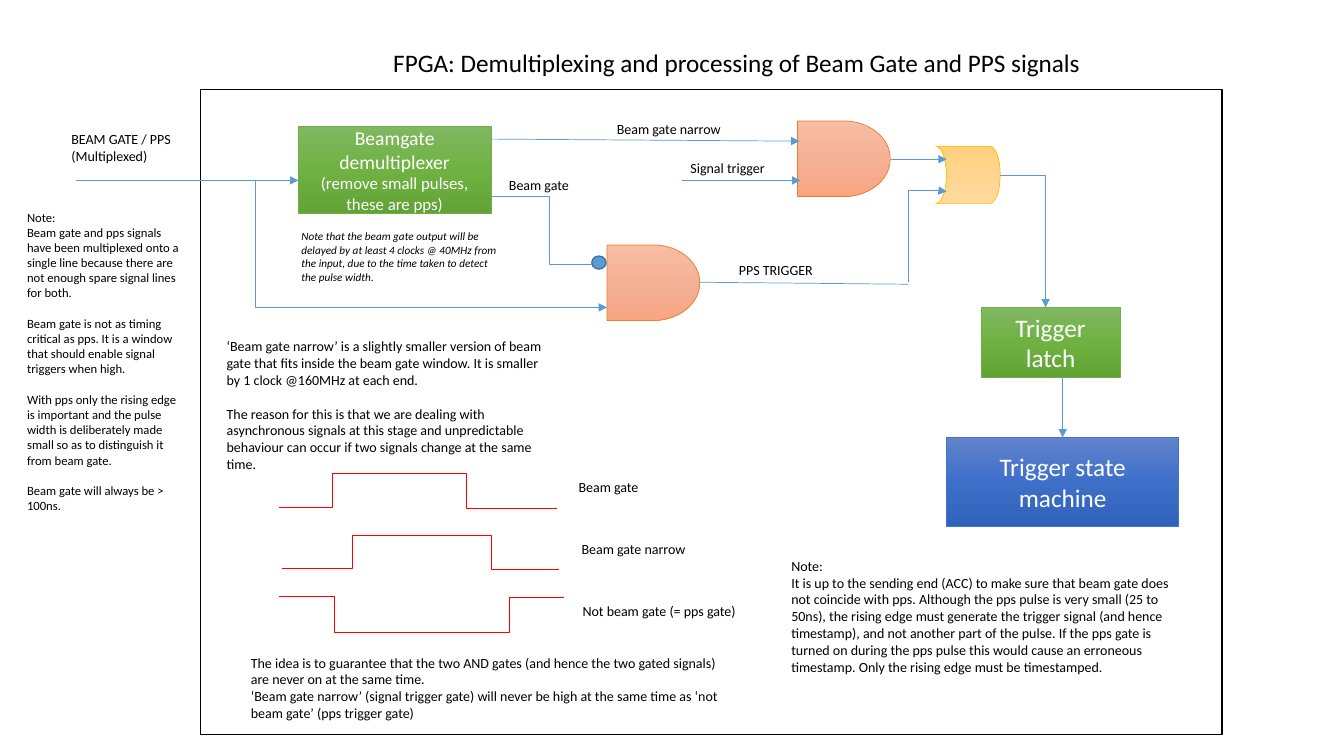
from copy import deepcopy
from dataclasses import dataclass

from pptx import Presentation
from pptx.dml.color import RGBColor
from pptx.enum.shapes import MSO_CONNECTOR, MSO_SHAPE
from pptx.enum.text import MSO_ANCHOR, MSO_AUTO_SIZE, PP_ALIGN
from pptx.oxml.ns import qn
from pptx.slide import Slide
from pptx.text.text import TextFrame
from pptx.util import Inches, Pt

RECT, OVAL = MSO_SHAPE.RECTANGLE, MSO_SHAPE.OVAL
AND, OR = MSO_SHAPE.FLOWCHART_DELAY, MSO_SHAPE.FLOWCHART_STORED_DATA
STRAIGHT, ELBOW = MSO_CONNECTOR.STRAIGHT, MSO_CONNECTOR.ELBOW
LEFT, CENTER = PP_ALIGN.LEFT, PP_ALIGN.CENTER
TOP, MIDDLE = MSO_ANCHOR.TOP, MSO_ANCHOR.MIDDLE
FIT, FIXED = MSO_AUTO_SIZE.SHAPE_TO_FIT_TEXT, MSO_AUTO_SIZE.NONE

FONT = "Calibri"
BLACK = RGBColor(0x00, 0x00, 0x00)
WHITE = RGBColor(0xFF, 0xFF, 0xFF)
RED = RGBColor(0xFF, 0x00, 0x00)
BLUE = RGBColor(0x5B, 0x9B, 0xD5)
NAVY = RGBColor(0x43, 0x73, 0x9E)
GREEN_EDGE = RGBColor(0x70, 0xAD, 0x47)
ROYAL_EDGE = RGBColor(0x44, 0x72, 0xC4)
PEACH_EDGE = RGBColor(0xED, 0x7D, 0x31)
GOLD_EDGE = RGBColor(0xFF, 0xC0, 0x00)
GREEN = (RGBColor(0x81, 0xB8, 0x61), RGBColor(0x6F, 0xB2, 0x42), RGBColor(0x62, 0xA3, 0x36))
ROYAL = (RGBColor(0x61, 0x83, 0xCB), RGBColor(0x3E, 0x70, 0xCA), RGBColor(0x30, 0x62, 0xBB))
PEACH = (RGBColor(0xF7, 0xBD, 0xA5), RGBColor(0xF5, 0xB1, 0x96), RGBColor(0xF8, 0xA5, 0x82))
GOLD = (RGBColor(0xFF, 0xDB, 0x9E), RGBColor(0xFF, 0xD5, 0x90), RGBColor(0xFF, 0xD0, 0x7C))

Box = tuple[float, float, float, float]
Point = tuple[float, float]


@dataclass
class Block:
    """A filled shape; each row holds a text and its size."""
    kind: MSO_SHAPE
    box: Box
    fill: tuple[RGBColor, ...]
    edge: RGBColor
    rows: tuple[tuple[str, float], ...] = ()
    weight: float = 0.5
    turn: float = 0


@dataclass
class Wire:
    """A line; bend is the elbow's place in percent, None if straight."""
    start: Point
    end: Point
    bend: float | None = None
    upright: bool = False
    color: RGBColor = BLUE
    arrow: bool = True


@dataclass
class Note:
    """A text box; gaps lists the rows that have an empty line above."""
    box: Box
    rows: tuple[str, ...]
    size: float = 10
    gaps: tuple[int, ...] = ()
    slant: bool = False


@dataclass
class Wave:
    """A pulse made of two elbows that meet in the middle."""
    label: str
    place: Box
    left: Point
    mid: Point
    right: Point
    bends: Point


BLOCKS = (
    Block(RECT, (1.99, 0.89, 10.13, 6.4), (WHITE,), BLACK, weight=1),
    Block(AND, (7.91, 1.2, 0.92, 0.75), PEACH, PEACH_EDGE),
    Block(AND, (6.02, 2.43, 0.92, 0.75), PEACH, PEACH_EDGE),
    Block(OR, (9.28, 1.45, 0.64, 0.57), GOLD, GOLD_EDGE, turn=180),
    Block(RECT, (9.73, 3.05, 1.38, 0.69), GREEN, GREEN_EDGE, (("Trigger latch", 18),)),
    Block(RECT, (9.39, 4.34, 2.3, 0.88), ROYAL, ROYAL_EDGE, (("Trigger state machine", 18),)),
    Block(RECT, (2.96, 1.25, 1.91, 0.87), GREEN, GREEN_EDGE,
          (("Beamgate demultiplexer", 14), ("(remove small pulses, these are pps)", 12))),
)
INVERT = Block(OVAL, (5.87, 2.54, 0.14, 0.13), (BLUE,), NAVY, weight=1)
WIRES = (
    Wire((0.75, 1.79), (2.96, 1.79)),
    Wire((8.84, 1.58), (9.39, 1.58)),
    Wire((9.92, 1.74), (10.37, 3.05), -0.2, True),
    Wire((9.01, 2.8), (9.39, 1.9), 101, True),
    Wire((10.54, 3.75), (10.54, 4.34)),
    Wire((4.87, 1.38), (7.93, 1.4)),
    Wire((6.94, 2.8), (9.01, 2.82), arrow=False),
    Wire((2.54, 1.79), (6.02, 3.05), -0.1),
    Wire((4.87, 1.95), (6.02, 2.62), 50),
    Wire((6.76, 1.79), (7.94, 1.79)),
)
WAVES = (
    Wave("Beam gate ", (5.64, 4.7, 1.36, 0.27),
         (2.77, 5.03), (4.17, 4.7), (5.52, 5.04), (37.9, 66.6)),
    Wave("Beam gate narrow", (5.67, 5.31, 1.36, 0.27),
         (2.8, 5.64), (4.2, 5.31), (5.54, 5.65), (50, 50)),
    Wave("Not beam gate (= pps gate)", (5.68, 5.93, 2.12, 0.27),
         (2.77, 5.92), (4.2, 6.27), (5.59, 5.93), (38.2, 38.4)),
)
NOTES = (
    Note((0.61, 1.25, 1.38, 0.44), ("BEAM GATE / PPS (Multiplexed)",)),
    Note((7.23, 2.55, 0.94, 0.27), ("PPS TRIGGER",)),
    Note((6.02, 1.15, 1.36, 0.27), ("Beam gate narrow",)),
    Note((4.95, 1.7, 1.24, 0.27), ("Beam gate",)),
    Note((6.75, 1.53, 1.19, 0.27), ("Signal trigger",)),
    Note((2.15, 3.3, 3.37, 1.45), (
        "‘Beam gate narrow’ is a slightly smaller version of beam gate that fits inside the beam "
        "gate window. It is smaller by 1 clock @160MHz at each end.",
        "The reason for this is that we are dealing with asynchronous signals at this stage and "
        "unpredictable behaviour can occur if two signals change at the same time."), gaps=(1,)),
    Note((2.39, 6.44, 5, 0.77), (
        "The idea is to guarantee that the two AND gates (and hence the two gated signals) are "
        "never on at the same time.",
        "‘Beam gate narrow’ (signal trigger gate) will never be high at the same time as ‘not "
        "beam gate’ (pps trigger gate)")),
    Note((7.75, 5.48, 4.15, 1.28), (
        "Note: ",
        "It is up to the sending end (ACC) to make sure that beam gate does not coincide with "
        "pps. Although the pps pulse is very small (25 to 50ns), the rising edge must generate "
        "the trigger signal (and hence timestamp), and not another part of the pulse. If the pps "
        "gate is turned on during the pps pulse this would cause an erroneous timestamp. Only "
        "the rising edge must be timestamped.")),
    Note((0.17, 2.03, 1.75, 3.28), (
        "Note: ",
        "Beam gate and pps signals have been multiplexed onto a single line because there are "
        "not enough spare signal lines for both.",
        "Beam gate is not as timing critical as pps. It is a window that should enable signal "
        "triggers when high.",
        "With pps only the rising edge is important and the pulse width is deliberately made "
        "small so as to distinguish it from beam gate.",
        "Beam gate will always be > 100ns."), 9, (2, 3, 4)),
    Note((2.89, 2.23, 2.21, 0.64), (
        "Note that the beam gate output will be delayed by at least 4 clocks @ 40MHz from the "
        "input, due to the time taken to detect the pulse width.",), 8, slant=True),
)


def write(frame: TextFrame, rows: tuple[tuple[str, float], ...], color: RGBColor = BLACK,
          align: PP_ALIGN = LEFT, gaps: tuple[int, ...] = (), slant: bool = False) -> None:
    """Fill a frame with one paragraph per row."""
    for i, (text, size) in enumerate(rows):
        para = frame.add_paragraph() if i else frame.paragraphs[0]
        para.alignment = align
        para.space_before = Pt(size * 1.22 if i in gaps else 0)
        run = para.add_run()
        run.text = text
        font = run.font
        font.name, font.size, font.italic = FONT, Pt(size), slant
        font.color.rgb = color


def draw_block(slide: Slide, block: Block) -> None:
    """Draw a shape with a plain or three-stop fill."""
    shape = slide.shapes.add_shape(block.kind, *map(Inches, block.box))
    shape.shadow.inherit = False
    shape.rotation = block.turn
    shape.line.color.rgb, shape.line.width = block.edge, Pt(block.weight)
    if len(block.fill) == 1:
        shape.fill.solid()
        shape.fill.fore_color.rgb = block.fill[0]
    else:
        shape.fill.gradient()
        shape.fill.gradient_angle = 270
        stops = next(shape.element.iter(qn("a:gsLst")))
        stops.append(deepcopy(stops[-1]))
        for i, (stop, color) in enumerate(zip(shape.fill.gradient_stops, block.fill)):
            stop.position, stop.color.rgb = i / 2, color
    shape.text_frame.vertical_anchor = MIDDLE
    write(shape.text_frame, block.rows, WHITE, CENTER)


def draw_wire(slide: Slide, wire: Wire) -> None:
    """Draw a line or elbow; an upright elbow leaves its start vertically."""
    (x1, y1), (x2, y2) = wire.start, wire.end
    if wire.upright:
        cx, cy, dx, dy = (x1 + x2) / 2, (y1 + y2) / 2, (x2 - x1) / 2, (y2 - y1) / 2
        x1, y1, x2, y2 = cx + dy, cy - dx, cx - dy, cy + dx
    kind = STRAIGHT if wire.bend is None else ELBOW
    link = slide.shapes.add_connector(kind, *map(Inches, (x1, y1, x2, y2)))
    link.line.color.rgb, link.line.width = wire.color, Pt(0.5)
    props = link.element.spPr
    if wire.upright:
        props.find(qn("a:xfrm")).set("rot", str(270 * 60000))
    if wire.bend is not None:
        guides = next(props.iter(qn("a:avLst")))
        guide = guides.makeelement(qn("a:gd"), {"name": "adj1", "fmla": f"val {round(wire.bend * 1000)}"})
        guides.append(guide)
    if wire.arrow:
        line = props.find(qn("a:ln"))
        line.append(line.makeelement(qn("a:tailEnd"), {"type": "triangle"}))
    props.append(props.makeelement(qn("a:effectLst"), {}))


def draw_note(slide: Slide, note: Note) -> None:
    """Draw a wrapped text box."""
    frame = slide.shapes.add_textbox(*map(Inches, note.box)).text_frame
    frame.word_wrap, frame.auto_size = True, FIT
    write(frame, tuple((row, note.size) for row in note.rows), gaps=note.gaps, slant=note.slant)


def draw_wave(slide: Slide, wave: Wave) -> None:
    """Draw both halves of a pulse and its label."""
    draw_wire(slide, Wire(wave.left, wave.mid, wave.bends[0], color=RED, arrow=False))
    draw_wire(slide, Wire(wave.right, wave.mid, wave.bends[1], color=RED, arrow=False))
    draw_note(slide, Note(wave.place, (wave.label,)))


def set_title(slide: Slide, text: str) -> None:
    """Move and format the title."""
    title = slide.shapes.title
    title.left, title.top, title.width, title.height = map(Inches, (3.8, 0.42, 7.1, 0.4))
    frame = title.text_frame
    frame.word_wrap, frame.auto_size, frame.vertical_anchor = False, FIXED, TOP
    write(frame, ((text, 18),))


deck = Presentation()
deck.slide_width, deck.slide_height = Inches(13.33), Inches(7.5)
page = deck.slides.add_slide(deck.slide_layouts[5])
set_title(page, "FPGA: Demultiplexing and processing of Beam Gate and PPS signals")
for part in BLOCKS:
    draw_block(page, part)
for path_wire in WIRES:
    draw_wire(page, path_wire)
draw_block(page, INVERT)
for pulse in WAVES:
    draw_wave(page, pulse)
for memo in NOTES:
    draw_note(page, memo)
deck.save("out.pptx")
